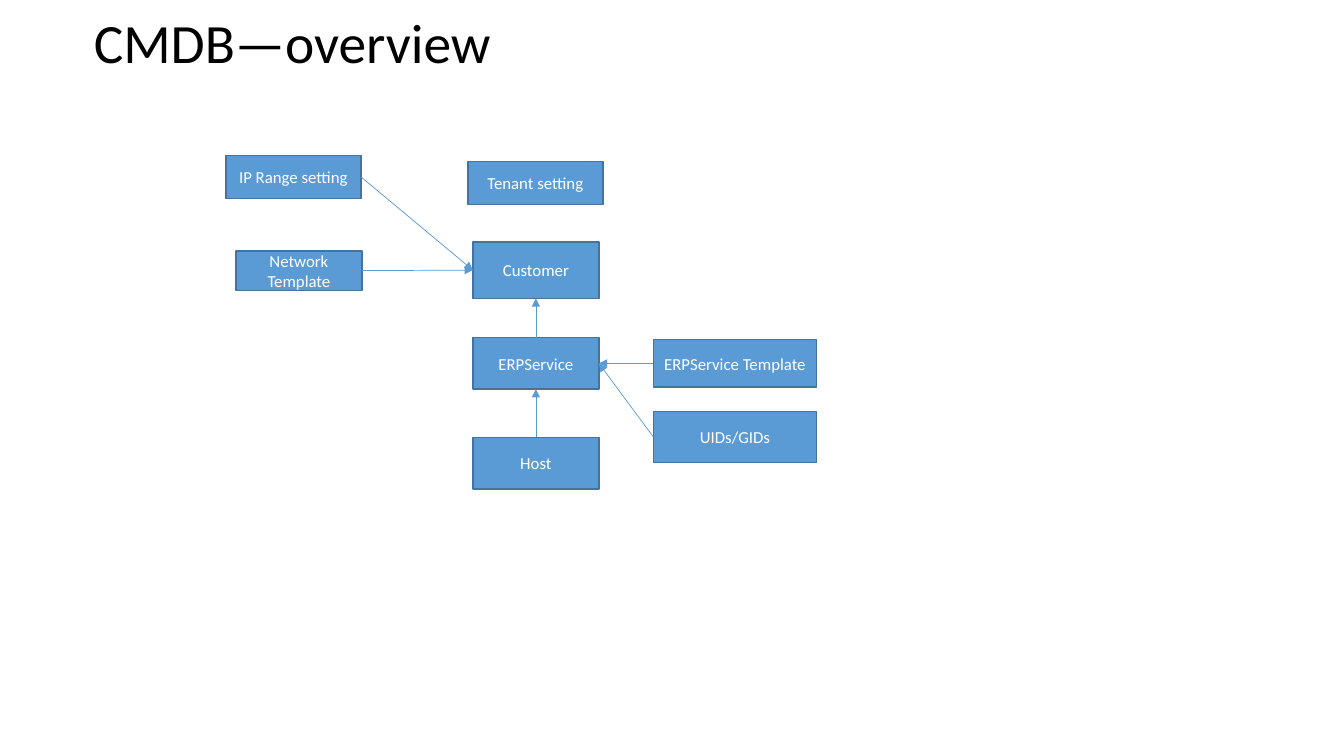
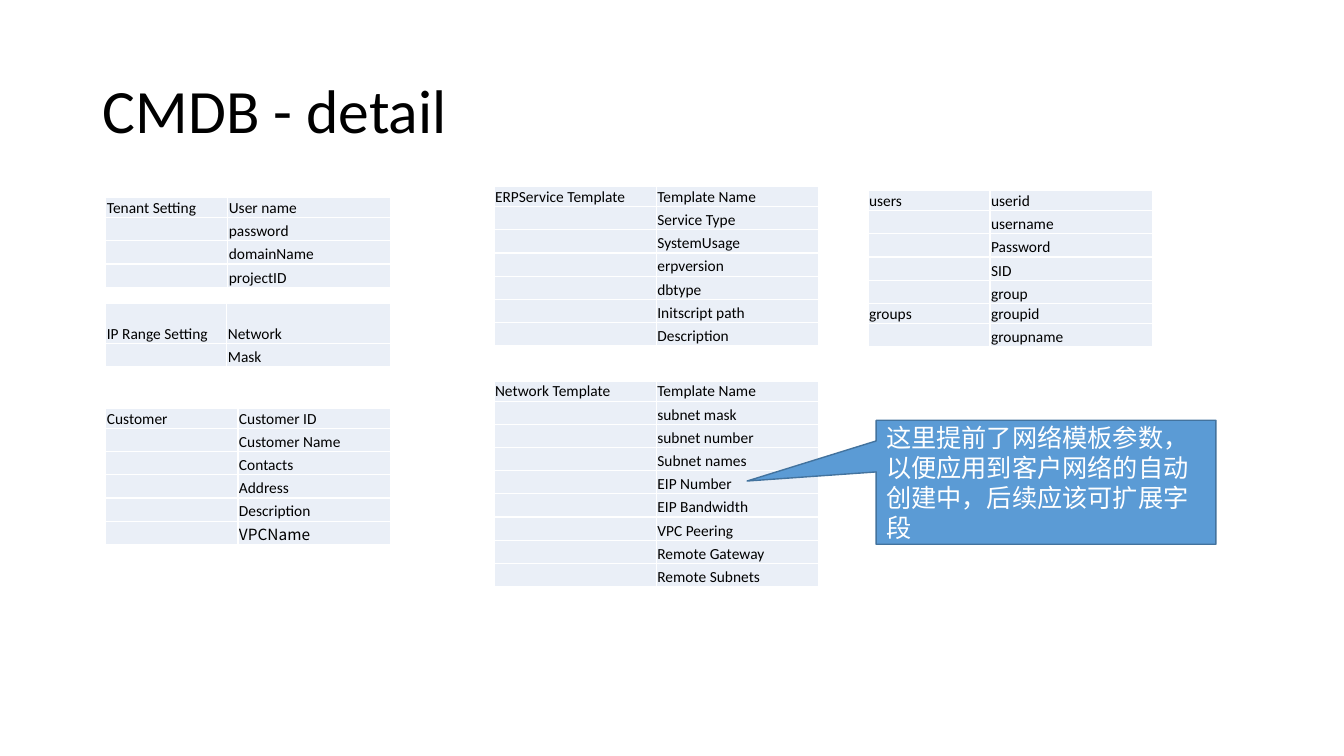
"""Build two slides on a CMDB: an overview diagram and the field tables."""
from pptx import Presentation
from pptx import util as u
from pptx.dml.color import RGBColor
from pptx.enum import shapes, text
from pptx.oxml.ns import qn
from lxml import etree

PX = 9144
FONT = "Calibri"
CJK_FONT = "Noto Sans CJK SC"
COLORS = {"text": "000000", "box": "5B9BD5", "edge": "43739E",
          "on_box": "FFFFFF", "cell": "EAEFF7"}
TOP, LEFT, BOTTOM, RIGHT = range(4)


def write(frame, words, size, color, align=text.PP_ALIGN.LEFT, font=FONT):
    frame.text = words
    paragraph = frame.paragraphs[0]
    paragraph.alignment = align
    paragraph.font.name = font
    paragraph.font.size = u.Pt(size)
    paragraph.font.color.rgb = RGBColor.from_string(COLORS[color])
    return paragraph


def add_box(slide, preset, bounds, words, size, align):
    box = slide.shapes.add_shape(preset, *[n * PX for n in bounds])
    box.shadow.inherit = False
    box.fill.solid()
    box.fill.fore_color.rgb = RGBColor.from_string(COLORS["box"])
    box.line.color.rgb = RGBColor.from_string(COLORS["edge"])
    box.line.width = u.Pt(1)
    box.text_frame.word_wrap = True
    box.text_frame.vertical_anchor = text.MSO_ANCHOR.MIDDLE
    write(box.text_frame, words, size, "on_box", align)
    return box


deck = Presentation()
deck.slide_width, deck.slide_height = 1333 * PX, 750 * PX

pages = []
for words, size, bounds in [("CMDB—overview", 39.6, (83, 12, 1150, 66)),
                            ("CMDB - detail", 44, (92, 40, 1150, 145))]:
    page = deck.slides.add_slide(deck.slide_layouts.get_by_name("Title Only"))
    title = page.shapes.title
    title.left, title.top, title.width, title.height = [n * PX for n in bounds]
    title.text_frame.auto_size = text.MSO_AUTO_SIZE.NONE
    title.text_frame.vertical_anchor = text.MSO_ANCHOR.MIDDLE
    write(title.text_frame, words, size, "text").line_spacing = 0.9
    pages.append(page)
overview, detail = pages

entities = {}
for words, *bounds in [
    ("Tenant setting", 464, 160, 134, 43),
    ("IP Range setting", 224, 154, 134, 43),
    ("Customer", 469, 240, 125, 56),
    ("Network Template", 234, 249, 125, 39),
    ("ERPService", 469, 335, 125, 51),
    ("ERPService Template", 648, 337, 162, 47),
    ("UIDs/GIDs", 648, 408, 162, 51),
    ("Host", 469, 434, 125, 51),
]:
    entities[words] = add_box(overview, shapes.MSO_SHAPE.RECTANGLE, bounds,
                              words, 12, text.PP_ALIGN.CENTER)

for source, source_side, target, target_side in [
    ("Network Template", RIGHT, "Customer", LEFT),
    ("ERPService", TOP, "Customer", BOTTOM),
    ("IP Range setting", RIGHT, "Customer", LEFT),
    ("ERPService Template", LEFT, "ERPService", RIGHT),
    ("UIDs/GIDs", LEFT, "ERPService", RIGHT),
    ("Host", TOP, "ERPService", BOTTOM),
]:
    arrow = overview.shapes.add_connector(shapes.MSO_CONNECTOR.STRAIGHT, 0, 0, 0, 0)
    arrow.begin_connect(entities[source], source_side)
    arrow.end_connect(entities[target], target_side)
    arrow.line.color.rgb = RGBColor.from_string(COLORS["box"])
    arrow.line.width = u.Pt(0.5)
    etree.SubElement(arrow.line._get_or_add_ln(), qn("a:tailEnd"), type="triangle")
    etree.SubElement(arrow._element.spPr, qn("a:effectLst"))

LABELLED_ROW, PLAIN_ROW = 20, 23
for left, top, widths, first_row, groups in [
    (105, 196, (121, 161), LABELLED_ROW, {
        "Tenant Setting": ["User name", "password", "domainName", "projectID"]}),
    (105, 301, (120, 162), 40, {"IP Range Setting": ["Network", "Mask"]}),
    (105, 405, (131, 151), LABELLED_ROW, {
        "Customer": ["Customer ID", "Customer Name", "Contacts", "Address",
                     "Description", "VPCName"]}),
    (490, 185, (161, 161), LABELLED_ROW, {
        "ERPService Template": ["Template Name", "Service Type", "SystemUsage",
                                "erpversion", "dbtype", "Initscript path",
                                "Description"]}),
    (490, 378, (161, 161), LABELLED_ROW, {
        "Network Template": ["Template Name", "subnet mask", "subnet number",
                             "Subnet names", "EIP Number", "EIP Bandwidth",
                             "VPC Peering", "Remote Gateway", "Remote Subnets"]}),
    (861, 189, (121, 161), LABELLED_ROW, {
        "users": ["userid", "username", "Password", "SID", "group"],
        "groups": ["groupid", "groupname"]}),
]:
    rows = [("" if i else label, field)
            for label, fields in groups.items() for i, field in enumerate(fields)]
    heights = [LABELLED_ROW if label else PLAIN_ROW for label, _ in rows]
    heights[0] = first_row
    fields_table = detail.shapes.add_table(
        len(rows), 2, left * PX, top * PX, sum(widths) * PX, sum(heights) * PX).table
    fields_table.first_row = fields_table.horz_banding = False
    for column, width in zip(fields_table.columns, widths):
        column.width = width * PX
    for row, height, entries in zip(fields_table.rows, heights, rows):
        row.height = height * PX
        for cell, words in zip(row.cells, entries):
            cell.margin_left = cell.margin_right = cell.margin_top = PX
            cell.margin_bottom = 0
            cell.vertical_anchor = text.MSO_ANCHOR.BOTTOM
            cell.fill.solid()
            cell.fill.fore_color.rgb = RGBColor.from_string(COLORS["cell"])
            write(cell.text_frame, words, 11, "text",
                  font=CJK_FONT if words == "VPCName" else FONT)

remark = add_box(detail, shapes.MSO_SHAPE.RECTANGULAR_CALLOUT, (869, 417, 337, 123),
                 "这里提前了网络模板参数，以便应用到客户网络的自动创建中，后续应该可扩展字段",
                 18, text.PP_ALIGN.LEFT)
remark.adjustments[0], remark.adjustments[1] = -0.88, -0.01

deck.save("out.pptx")
